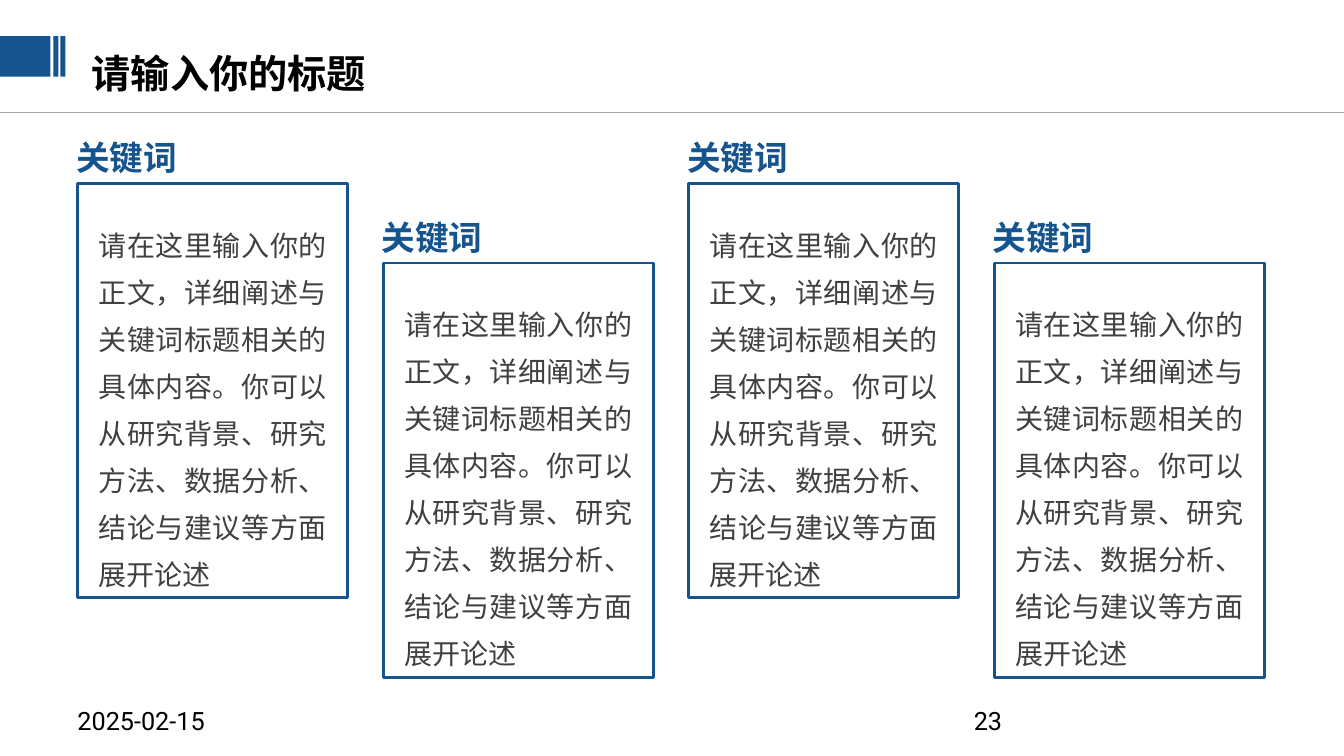
from dataclasses import dataclass

import lxml.etree
import pptx
import pptx.dml.color
import pptx.enum.shapes
import pptx.enum.text
import pptx.oxml.ns
import pptx.util

ALIGN = pptx.enum.text.PP_ALIGN
ANCHOR = pptx.enum.text.MSO_ANCHOR
AUTO_SIZE = pptx.enum.text.MSO_AUTO_SIZE
RECTANGLE = pptx.enum.shapes.MSO_SHAPE.RECTANGLE


@dataclass(frozen=True)
class Theme:
    blue: str = "15548D"
    white: str = "FFFFFF"
    black: str = "000000"
    gray: str = "404040"
    rule: str = "A6A6A6"
    cjk: str = "Noto Sans CJK SC"
    latin: str = "Roboto"
    title: int = 28
    keyword: int = 24
    body: int = 20
    footer: int = 18


THEME = Theme()

# Grid in inches: four columns, every second one a step lower
WIDTH, HEIGHT = 13.33, 7.5
LEFT, TOP = 0.77, 1.82
PITCH, STEP = 3.03, 0.79
CARD_WIDTH, CARD_HEIGHT = 2.68, 4.11

KEYWORD = "关键词"
BODY = ("请在这里输入你的正文，详细阐述与关键词标题相关的具体内容。"
        "你可以从研究背景、研究方法、数据分析、结论与建议等方面展开论述")
CARDS = [(KEYWORD, BODY)] * 4


def inches(*lengths):
    return [pptx.util.Inches(length) for length in lengths]


def rgb(color):
    return pptx.dml.color.RGBColor.from_string(color)


def write_text(box, text, *, size, color, font=THEME.cjk, bold=False,
               align=ALIGN.LEFT, anchor=ANCHOR.TOP, spacing=1.0, wrap=True,
               grow=True, left_inset=0.1):
    """Put one formatted paragraph into a text box or placeholder."""
    frame = box.text_frame
    frame.text = text
    frame.word_wrap = wrap
    frame.auto_size = AUTO_SIZE.SHAPE_TO_FIT_TEXT if grow else AUTO_SIZE.NONE
    frame.vertical_anchor = anchor
    frame.margin_left = pptx.util.Inches(left_inset)
    paragraph = frame.paragraphs[0]
    paragraph.alignment = align
    paragraph.line_spacing = spacing
    run = paragraph.runs[0]
    run.font.size = pptx.util.Pt(size)
    run.font.bold = bold
    run.font.color.rgb = rgb(color)
    run.font.name = font
    # East Asian characters take their own typeface element
    lxml.etree.SubElement(run.font._element, pptx.oxml.ns.qn("a:ea"), typeface=font)


def add_text(slide, place, text, **text_format):
    write_text(slide.shapes.add_textbox(*inches(*place)), text, **text_format)


def add_box(slide, place, fill, outline=None):
    box = slide.shapes.add_shape(RECTANGLE, *inches(*place))
    box.shadow.inherit = False
    box.fill.solid()
    box.fill.fore_color.rgb = rgb(fill)
    if outline:
        box.line.color.rgb = rgb(outline)
        box.line.width = pptx.util.Pt(2)
    else:
        box.line.fill.background()


def add_header(slide, text):
    # Rule across the slide
    rule = slide.shapes.add_connector(
        pptx.enum.shapes.MSO_CONNECTOR.STRAIGHT, *inches(0, 1.12, WIDTH, 1.12))
    rule.line.color.rgb = rgb(THEME.rule)
    rule.line.width = pptx.util.Pt(0.75)
    lxml.etree.SubElement(rule._element.spPr, pptx.oxml.ns.qn("a:effectLst"))

    # Title
    title = slide.shapes.title
    title.left, title.top, title.width, title.height = inches(0.91, 0.44, 2.85, 0.57)
    write_text(title, text, size=THEME.title, color=THEME.black, bold=True,
               anchor=ANCHOR.MIDDLE, wrap=False, left_inset=0)

    # Block and two bars at the edge
    for left, width in ((0, 0.5), (0.53, 0.05), (0.6, 0.05)):
        add_box(slide, (left, 0.36, width, 0.4), THEME.blue)


def add_card(slide, column, keyword, body):
    left = LEFT + column * PITCH
    top = TOP + column % 2 * STEP
    add_box(slide, (left, top, CARD_WIDTH, CARD_HEIGHT), THEME.white, THEME.blue)
    add_text(slide, (left - 0.12, top - 0.51, 1.21, 0.5), keyword,
             size=THEME.keyword, color=THEME.blue, bold=True,
             align=ALIGN.CENTER, wrap=False)
    add_text(slide, (left + 0.11, top + 0.26, CARD_WIDTH - 0.22, 3.82), body,
             size=THEME.body, color=THEME.gray, align=ALIGN.JUSTIFY, spacing=1.4)


def add_footer(slide, date, number):
    for left, text in ((0.67, date), (9.56, number)):
        add_text(slide, (left, 6.95, 3.11, 0.4), text, size=THEME.footer,
                 color=THEME.black, font=THEME.latin, grow=False)


def main():
    deck = pptx.Presentation()
    deck.slide_width, deck.slide_height = inches(WIDTH, HEIGHT)
    slide = deck.slides.add_slide(deck.slide_layouts.get_by_name("Title Only"))
    add_footer(slide, "2025-02-15", "23")
    add_header(slide, "请输入你的标题")
    for column, (keyword, body) in enumerate(CARDS):
        add_card(slide, column, keyword, body)
    deck.save("out.pptx")


if __name__ == "__main__":
    main()
